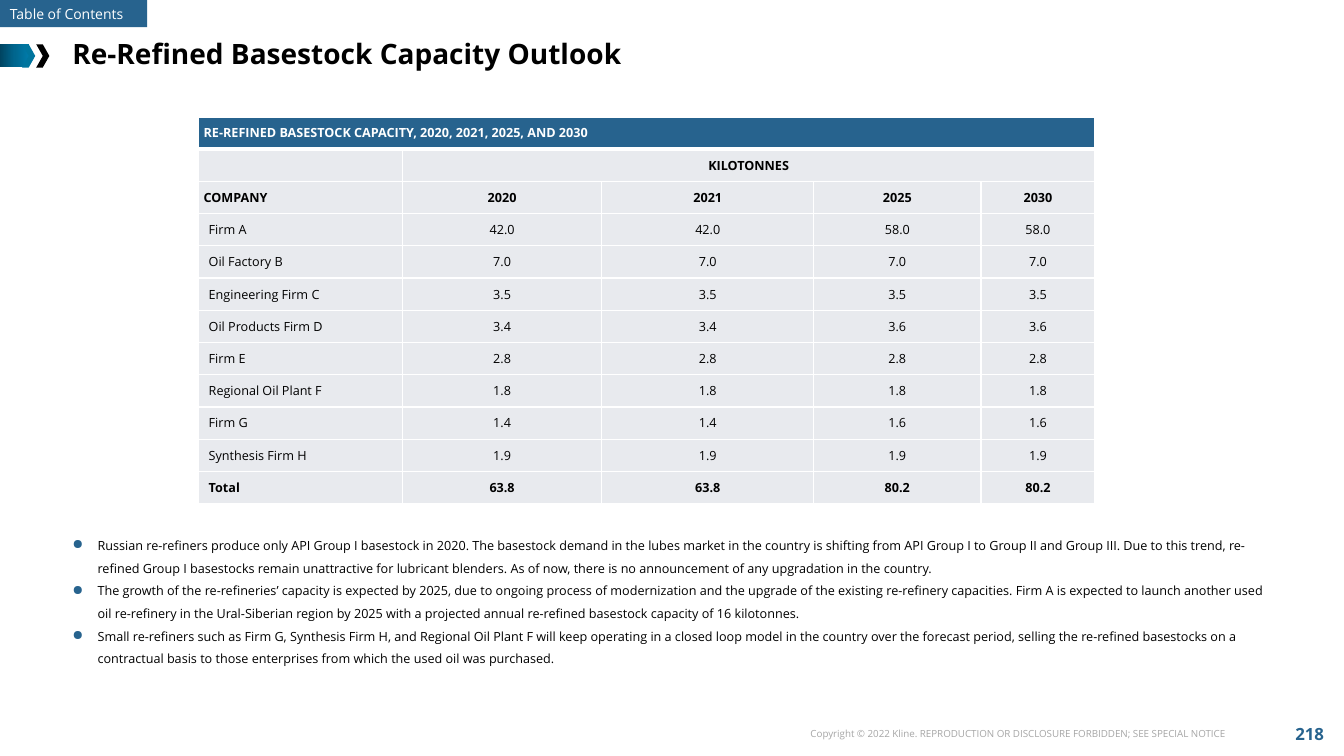
import copy
from dataclasses import dataclass

import pptx
import pptx.dml.color
import pptx.enum.dml
import pptx.enum.shapes
import pptx.enum.text
import pptx.oxml
import pptx.oxml.ns
import pptx.util

Inches = pptx.util.Inches
Align = pptx.enum.text.PP_ALIGN
Preset = pptx.enum.shapes.MSO_SHAPE


@dataclass(frozen=True)
class Theme:
    font: str = "Open Sans"
    accent: str = "27638E"
    black: str = "000000"
    white: str = "FFFFFF"
    grey: str = "A6A6A6"
    cell: str = "E8EAEE"
    chevron: str = "00759E"
    gradient: tuple[str, ...] = ("004461", "00668E", "007BAA")
    title_size: int = 20
    page_size: int = 12
    tab_size: int = 10
    body_size: int = 9
    footer_size: int = 7


THEME = Theme()


@dataclass(frozen=True)
class Box:
    left: float
    top: float
    width: float
    height: float

    def lengths(self) -> tuple:
        return tuple(Inches(value) for value in (self.left, self.top, self.width, self.height))


@dataclass(frozen=True)
class Label:
    text: str
    box: Box
    size: int
    color: str
    bold: bool = False
    align: Align = Align.LEFT
    middle: bool = False


@dataclass(frozen=True)
class Marker:
    preset: Preset
    box: Box
    color: str


LABELS = [
    Label("218", Box(12.68, 7.07, 0.62, 0.43), THEME.page_size, THEME.accent, True, Align.CENTER, True),
    Label("Copyright © 2022 Kline. REPRODUCTION OR DISCLOSURE FORBIDDEN; SEE SPECIAL NOTICE",
          Box(7.71, 7.17, 4.54, 0.22), THEME.footer_size, THEME.grey, align=Align.RIGHT),
    Label("Re-Refined Basestock Capacity Outlook", Box(0.62, 0.31, 12, 0.44),
          THEME.title_size, THEME.black, True, middle=True),
]
MARKERS = [
    Marker(Preset.CHEVRON, Box(0.22, 0.44, 0.13, 0.23), THEME.chevron),
    Marker(Preset.CHEVRON, Box(0.36, 0.44, 0.13, 0.23), THEME.black),
]
GRADIENT_BAR = Box(0, 0.44, 0.29, 0.23)
CONTENTS_TAB = Box(0, 0, 1.46, 0.27)
TABLE_BOX = Box(1.97, 1.16, 8.89, 3.84)
COLUMN_WIDTHS = [2.02, 1.98, 2.1, 1.66, 1.13]
HEADER_ROWS = 3
CAPACITY_ROWS = [
    ["RE-REFINED BASESTOCK CAPACITY, 2020, 2021, 2025, AND 2030", "", "", "", ""],
    ["", "KILOTONNES", "", "", ""],
    ["COMPANY", "2020", "2021", "2025", "2030"],
    ["Firm A", "42.0", "42.0", "58.0", "58.0"],
    ["Oil Factory B", "7.0", "7.0", "7.0", "7.0"],
    ["Engineering Firm C", "3.5", "3.5", "3.5", "3.5"],
    ["Oil Products Firm D", "3.4", "3.4", "3.6", "3.6"],
    ["Firm E", "2.8", "2.8", "2.8", "2.8"],
    ["Regional Oil Plant F", "1.8", "1.8", "1.8", "1.8"],
    ["Firm G", "1.4", "1.4", "1.6", "1.6"],
    ["Synthesis Firm H", "1.9", "1.9", "1.9", "1.9"],
    ["Total", "63.8", "63.8", "80.2", "80.2"],
]
NOTES_BOX = Box(0.62, 5.21, 12, 1.44)
NOTES = [
    "Russian re-refiners produce only API Group I basestock in 2020. The basestock demand in the lubes market in the country is shifting from API Group I to Group II and Group III. Due to this trend, re-refined Group I basestocks remain unattractive for lubricant blenders. As of now, there is no announcement of any upgradation in the country.",
    "The growth of the re-refineries’ capacity is expected by 2025, due to ongoing process of modernization and the upgrade of the existing re-refinery capacities. Firm A is expected to launch another used oil re-refinery in the Ural-Siberian region by 2025 with a projected annual re-refined basestock capacity of 16 kilotonnes.",
    "Small re-refiners such as Firm G, Synthesis Firm H, and Regional Oil Plant F will keep operating in a closed loop model in the country over the forecast period, selling the re-refined basestocks on a contractual basis to those enterprises from which the used oil was purchased.",
]


def rgb(color: str) -> pptx.dml.color.RGBColor:
    return pptx.dml.color.RGBColor.from_string(color)


def append_xml(parent, xml: str) -> None:
    """Append an element written with the a: prefix."""
    tag, rest = xml.split(" ", 1)
    parent.append(pptx.oxml.parse_xml(f"{tag} {pptx.oxml.ns.nsdecls('a')} {rest}"))


def format_runs(paragraph, size: int, color: str, bold: bool = False) -> None:
    for run in paragraph.runs:
        run.font.name = THEME.font
        run.font.size = pptx.util.Pt(size)
        run.font.bold = bold
        run.font.color.rgb = rgb(color)


def add_label(slide, label: Label) -> None:
    text_frame = slide.shapes.add_textbox(*label.box.lengths()).text_frame
    text_frame.word_wrap = True
    text_frame.text = label.text
    if label.middle:
        text_frame.vertical_anchor = pptx.enum.text.MSO_ANCHOR.MIDDLE
    paragraph = text_frame.paragraphs[0]
    paragraph.alignment = label.align
    format_runs(paragraph, label.size, label.color, label.bold)


def add_marker(slide, marker: Marker):
    shape = slide.shapes.add_shape(marker.preset, *marker.box.lengths())
    shape.shadow.inherit = False
    shape.fill.solid()
    shape.fill.fore_color.rgb = rgb(marker.color)
    shape.line.fill.background()
    return shape


def add_gradient_bar(slide) -> None:
    fill = add_marker(slide, Marker(Preset.RECTANGLE, GRADIENT_BAR, THEME.chevron)).fill
    fill.gradient()
    fill.gradient_angle = 0
    first_stop = fill._fill._gradFill.gsLst[0]
    first_stop.addnext(copy.deepcopy(first_stop))
    for index, (stop, color) in enumerate(zip(fill.gradient_stops, THEME.gradient)):
        stop.position = index / (len(THEME.gradient) - 1)
        stop.color.rgb = rgb(color)


def add_contents_tab(slide) -> None:
    shape = add_marker(slide, Marker(Preset.RECTANGLE, CONTENTS_TAB, THEME.accent))
    shape.text_frame.text = "Table of Contents"
    shape.text_frame.word_wrap = False
    paragraph = shape.text_frame.paragraphs[0]
    paragraph.alignment = Align.LEFT
    format_runs(paragraph, THEME.tab_size, THEME.white)


def format_cell(cell, row: int, column: int) -> None:
    is_title, is_header = row == 0, row < HEADER_ROWS
    margin = Inches(0.05 if is_header else 0)
    cell.margin_top = cell.margin_right = cell.margin_bottom = margin
    cell.margin_left = margin if is_header or column else Inches(0.1)
    cell.vertical_anchor = pptx.enum.text.MSO_ANCHOR.MIDDLE
    paragraph = cell.text_frame.paragraphs[0]
    paragraph.alignment = Align.CENTER if column else Align.LEFT
    bold = is_header or row == len(CAPACITY_ROWS) - 1
    format_runs(paragraph, THEME.body_size, THEME.white if is_title else THEME.black, bold)
    if not paragraph.runs:
        append_xml(paragraph._p, f'<a:endParaRPr sz="{THEME.body_size * 100}"/>')
    properties = cell._tc.get_or_add_tcPr()
    for side in "LRTB":
        points = 3 if (row, side) in ((0, "B"), (1, "T")) else 1
        append_xml(properties, f'<a:ln{side} w="{pptx.util.Pt(points)}"><a:solidFill>'
                               f'<a:srgbClr val="{THEME.white}"/></a:solidFill></a:ln{side}>')
    cell.fill.solid()
    cell.fill.fore_color.rgb = rgb(THEME.accent if is_title else THEME.cell)


def add_capacity_table(slide) -> None:
    table = slide.shapes.add_table(len(CAPACITY_ROWS), len(COLUMN_WIDTHS), *TABLE_BOX.lengths()).table
    table.first_row = table.horz_banding = False
    for column, width in zip(table.columns, COLUMN_WIDTHS):
        column.width = Inches(width)
    for row, values in enumerate(CAPACITY_ROWS):
        for column, value in enumerate(values):
            cell = table.cell(row, column)
            cell.text_frame.text = value
            format_cell(cell, row, column)
    last = len(COLUMN_WIDTHS) - 1
    table.cell(0, 0).merge(table.cell(0, last))
    table.cell(1, 1).merge(table.cell(1, last))


def add_notes(slide) -> None:
    text_frame = slide.shapes.add_textbox(*NOTES_BOX.lengths()).text_frame
    text_frame.word_wrap = True
    text_frame.text = "\n".join(NOTES)
    for paragraph in text_frame.paragraphs:
        paragraph.line_spacing = 1.5
        properties = paragraph._p.get_or_add_pPr()
        properties.set("marL", str(Inches(0.25)))
        properties.set("indent", str(Inches(-0.25)))
        append_xml(properties, f'<a:buClr ><a:srgbClr val="{THEME.accent}"/></a:buClr>')
        append_xml(properties, '<a:buSzPct val="110000"/>')
        append_xml(properties, '<a:buChar char="●"/>')
        format_runs(paragraph, THEME.body_size, THEME.black)


def main() -> None:
    presentation = pptx.Presentation()
    presentation.slide_width, presentation.slide_height = Inches(13.33), Inches(7.5)
    slide = presentation.slides.add_slide(presentation.slide_layouts[6])
    add_gradient_bar(slide)
    for marker in MARKERS:
        add_marker(slide, marker)
    add_contents_tab(slide)
    for label in LABELS:
        add_label(slide, label)
    add_capacity_table(slide)
    add_notes(slide)
    presentation.save("out.pptx")


if __name__ == "__main__":
    main()
